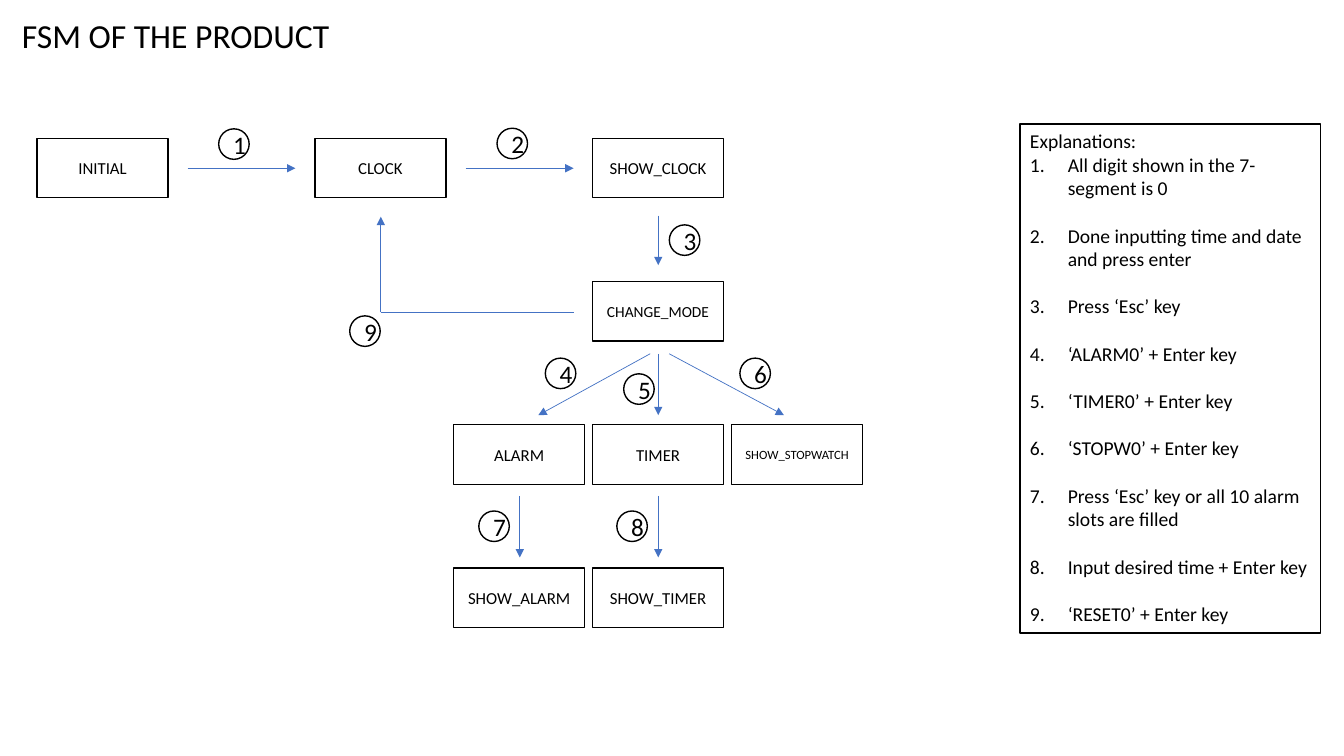
"""Builds a slide with the state machine of a clock product."""
from dataclasses import dataclass

from lxml import etree
from pptx import Presentation
from pptx.dml.color import RGBColor
from pptx.enum.shapes import MSO_CONNECTOR, MSO_SHAPE
from pptx.enum.text import MSO_ANCHOR, PP_ALIGN
from pptx.oxml.ns import qn
from pptx.util import Pt

RECTANGLE = MSO_SHAPE.RECTANGLE
OVAL = MSO_SHAPE.OVAL
STRAIGHT = MSO_CONNECTOR.STRAIGHT
CENTER = PP_ALIGN.CENTER
LEFT = PP_ALIGN.LEFT
TOP = MSO_ANCHOR.TOP

FONT = "Calibri"
BLACK = "000000"
WHITE = "FFFFFF"
BLUE = "4472C4"

STATE_WIDTH, STATE_HEIGHT = 93.6, 42.5
BADGE_SIZE = 21.8
COLUMN_LEFT, COLUMN_STEP = 26.5, 99.2
ROW_TOP, ROW_STEP = 98.8, 102.3
LIST_INDENT = 27
LIST_GAP = 17


@dataclass
class State:
    name: str
    column: int
    row: int
    size: float = 12


@dataclass
class Transition:
    x1: float
    y1: float
    x2: float
    y2: float
    arrow: bool = True


@dataclass
class Badge:
    number: int
    left: float
    top: float


STATES = [
    State("INITIAL", 0, 0),
    State("CLOCK", 2, 0),
    State("SHOW_CLOCK", 4, 0),
    State("CHANGE_MODE", 4, 1, 11),
    State("ALARM", 3, 2),
    State("TIMER", 4, 2),
    State("SHOW_STOPWATCH", 5, 2, 9),
    State("SHOW_ALARM", 3, 3),
    State("SHOW_TIMER", 4, 3),
]

TRANSITIONS = [
    Transition(134, 120.2, 211, 120.2),
    Transition(332.6, 120.2, 409.7, 120.2),
    Transition(470.2, 154, 470.2, 189.4),
    Transition(464.4, 252.7, 384.5, 296.6),
    Transition(470.2, 252.7, 470.2, 296.6),
    Transition(478, 252.7, 560, 296.6),
    Transition(371.3, 354.2, 371.3, 398.2),
    Transition(470.2, 354.2, 470.2, 398.2),
    Transition(409.7, 223.2, 272, 223.2, arrow=False),
    Transition(272, 223.2, 272, 154.8),
]

BADGES = [
    Badge(1, 156.2, 92),
    Badge(2, 355, 91.6),
    Badge(3, 478.1, 160.6),
    Badge(4, 389.5, 255.8),
    Badge(5, 445.5, 267),
    Badge(6, 528.5, 255.8),
    Badge(7, 342, 365),
    Badge(8, 440.6, 365),
    Badge(9, 249.8, 225.6),
]

EXPLANATIONS = [
    "All digit shown in the 7-segment is 0",
    "Done inputting time and date and press enter",
    "Press ‘Esc’ key",
    "‘ALARM0’ + Enter key",
    "‘TIMER0’ + Enter key",
    "‘STOPW0’ + Enter key",
    "Press ‘Esc’ key or all 10 alarm slots are filled",
    "Input desired time + Enter key",
    "‘RESET0’ + Enter key",
]


def color(value: str) -> RGBColor:
    """Turn a hex string into a colour."""
    return RGBColor.from_string(value)


def format_text(frame, size: float, alignment) -> None:
    """Set the font and alignment of all the text in a frame."""
    for paragraph in frame.paragraphs:
        paragraph.alignment = alignment
        for span in paragraph.runs:
            span.font.name = FONT
            span.font.size = Pt(size)
            span.font.color.rgb = color(BLACK)


def add_outlined(page, kind, left: float, top: float, width: float,
                 height: float, text: str, size: float, alignment=CENTER):
    """Add a white shape with a black outline and text."""
    box = page.shapes.add_shape(kind, Pt(left), Pt(top), Pt(width), Pt(height))
    box.shadow.inherit = False
    box.fill.solid()
    box.fill.fore_color.rgb = color(WHITE)
    box.line.color.rgb = color(BLACK)
    box.line.width = Pt(1)
    box.text_frame.text = text
    format_text(box.text_frame, size, alignment)
    return box


def add_state(page, state: State) -> None:
    """Add the box of one state at its grid place."""
    add_outlined(page, RECTANGLE, COLUMN_LEFT + state.column * COLUMN_STEP,
                 ROW_TOP + state.row * ROW_STEP, STATE_WIDTH, STATE_HEIGHT,
                 state.name, state.size)


def add_transition(page, transition: Transition) -> None:
    """Add one line, with an arrowhead where it is wanted."""
    line = page.shapes.add_connector(
        STRAIGHT, Pt(transition.x1), Pt(transition.y1),
        Pt(transition.x2), Pt(transition.y2))
    line.line.color.rgb = color(BLUE)
    line.line.width = Pt(0.5)
    properties = line._element.spPr
    if transition.arrow:
        outline = properties.find(qn("a:ln"))
        etree.SubElement(outline, qn("a:tailEnd"), type="triangle")
    etree.SubElement(properties, qn("a:effectLst"))


def add_badge(page, badge: Badge) -> None:
    """Add one numbered circle."""
    add_outlined(page, OVAL, badge.left, badge.top, BADGE_SIZE, BADGE_SIZE,
                 str(badge.number), 18)


def add_title(page, text: str) -> None:
    """Add the slide title."""
    box = page.shapes.add_textbox(Pt(8.6), Pt(7.2), Pt(234), Pt(36))
    box.text_frame.word_wrap = False
    box.text_frame.text = text
    format_text(box.text_frame, 24, LEFT)


def add_explanations(page) -> None:
    """Add the numbered list that explains the transitions."""
    text = "\n".join(["Explanations:", *EXPLANATIONS])
    box = add_outlined(page, RECTANGLE, 728.6, 88.6, 214.6, 363.6, text, 14, LEFT)
    box.text_frame.word_wrap = True
    box.text_frame.vertical_anchor = TOP
    items = box.text_frame.paragraphs[1:]
    for paragraph in items:
        if paragraph is not items[-1]:
            paragraph.space_after = Pt(LIST_GAP)
        properties = paragraph._p.get_or_add_pPr()
        properties.set("marL", str(Pt(LIST_INDENT)))
        properties.set("indent", str(-Pt(LIST_INDENT)))
        etree.SubElement(properties, qn("a:buAutoNum"), type="arabicPeriod")


def main() -> None:
    """Build and save the deck."""
    deck = Presentation()
    deck.slide_width, deck.slide_height = Pt(960), Pt(540)
    page = deck.slides.add_slide(deck.slide_layouts[6])
    add_title(page, "FSM OF THE PRODUCT")
    for state in STATES:
        add_state(page, state)
    for transition in TRANSITIONS:
        add_transition(page, transition)
    for badge in BADGES:
        add_badge(page, badge)
    add_explanations(page)
    deck.save("out.pptx")


if __name__ == "__main__":
    main()
